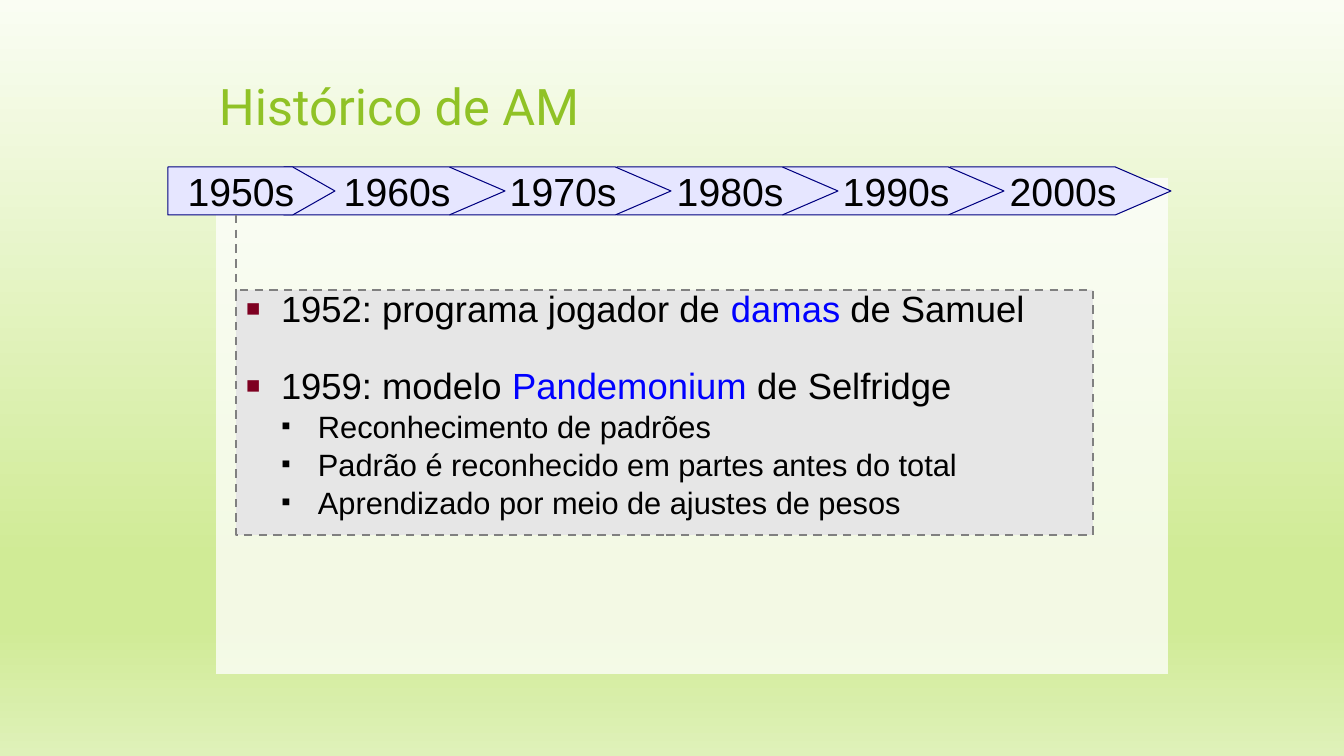
from lxml import etree
from pptx import Presentation
from pptx.dml.color import RGBColor
from pptx.enum.dml import MSO_LINE
from pptx.enum.shapes import MSO_CONNECTOR, MSO_SHAPE
from pptx.enum.text import MSO_ANCHOR, PP_ALIGN
from pptx.oxml import parse_xml
from pptx.oxml.ns import nsdecls, qn
from pptx.util import Emu, Pt

DASH = MSO_LINE.DASH
STRAIGHT = MSO_CONNECTOR.STRAIGHT
RECTANGLE, ARROW = MSO_SHAPE.RECTANGLE, MSO_SHAPE.PENTAGON
TOP, MIDDLE = MSO_ANCHOR.TOP, MSO_ANCHOR.MIDDLE
LEFT, CENTER = PP_ALIGN.LEFT, PP_ALIGN.CENTER

PX_PER_INCH = 100.8
COLORS = {
    "title": "90C226", "panel": "FFFFFF", "decade": "E6E6FF", "decade_edge": "000080",
    "box": "E6E6E6", "dash": "808080", "text": "000000", "highlight": "0000FF",
    "bullet": "7E0021",
}
BACKGROUND_STOPS = [(0, "FAFDF3"), (74, "D0EB96"), (83, "D0EB96"), (100, "DFF1B9")]
DECADES = ["1950s", "1960s", "1970s", "1980s", "1990s", "2000s"]
EVENTS = [
    (0, 0, [("1952: programa jogador de ", "text"), ("damas", "highlight"), (" de Samuel", "text")]),
    (0, 30, [("1959: modelo ", "text"), ("Pandemonium", "highlight"), (" de Selfridge", "text")]),
    (1, 6, [("Reconhecimento de padrões", "text")]),
    (1, 6, [("Padrão é reconhecido em partes antes do total", "text")]),
    (1, 6, [("Aprendizado por meio de ajustes de pesos", "text")]),
]
LEVELS = [
    {"size": 26, "margin": 35, "hang": 35, "bullet": "bullet", "percent": 65},
    {"size": 22, "margin": 72, "hang": 36, "bullet": "text", "percent": 45},
]


def px(length):
    return Emu(round(length * 914400 / PX_PER_INCH))


def rgb(name):
    return RGBColor.from_string(COLORS[name])


def set_background(slide):
    stops = "".join(
        f'<a:gs pos="{position * 1000}"><a:srgbClr val="{color}"/></a:gs>'
        for position, color in BACKGROUND_STOPS
    )
    background = parse_xml(
        f'<p:bg {nsdecls("p", "a")}><p:bgPr><a:gradFill rotWithShape="1"><a:gsLst>{stops}</a:gsLst>'
        '<a:lin ang="5400000" scaled="0"/></a:gradFill><a:effectLst/></p:bgPr></p:bg>'
    )
    slide.element.cSld.insert(0, background)


def add_run(paragraph, text, size, color, font="Arial"):
    run = paragraph.add_run()
    run.text = text
    run.font.size = Pt(size)
    run.font.name = font
    run.font.color.rgb = rgb(color)


def add_block(slide, preset, bounds, fill, edge=None, width=0.75):
    block = slide.shapes.add_shape(preset, *map(px, bounds))
    block.shadow.inherit = False
    block.fill.solid()
    block.fill.fore_color.rgb = rgb(fill)
    if edge:
        block.line.color.rgb = rgb(edge)
        block.line.width = Pt(width)
    else:
        block.line.fill.background()
    return block


def set_frame(frame, anchor, left=10, right=10, top=5, bottom=5):
    frame.word_wrap = True
    frame.vertical_anchor = anchor
    frame.margin_left, frame.margin_right = px(left), px(right)
    frame.margin_top, frame.margin_bottom = px(top), px(bottom)


def add_title(slide, text):
    title = slide.shapes.title
    title.left, title.top, title.width, title.height = map(px, (219, 35, 906, 141))
    set_frame(title.text_frame, MIDDLE, 0, 0, 0, 0)
    paragraph = title.text_frame.paragraphs[0]
    paragraph.alignment = LEFT
    add_run(paragraph, text, 36, "title", "Roboto")


def add_panel(slide):
    panel = add_block(slide, RECTANGLE, (216, 178, 952, 496), "panel")
    color = panel.fill._xPr.find(qn("a:solidFill"))[0]
    etree.SubElement(color, qn("a:alpha")).set("val", "75000")


def add_decade(slide, label, left, width, tip, inset):
    decade = add_block(slide, ARROW, (left, 167, width, 48), "decade", "decade_edge")
    decade.adjustments[0] = tip
    set_frame(decade.text_frame, MIDDLE, left=inset)
    paragraph = decade.text_frame.paragraphs[0]
    paragraph.alignment = CENTER
    add_run(paragraph, label, 28, "text")


def add_timeline(slide):
    first, *later = DECADES
    for index, label in reversed(list(enumerate(later))):
        add_decade(slide, label, 284 + 333 * index // 2, 221, 1.16, 43)
    add_decade(slide, first, 168, 167, 0.88, 10)


def set_bullet(paragraph, style):
    properties = paragraph._p.get_or_add_pPr()
    properties.set("marL", str(px(style["margin"])))
    properties.set("indent", str(-px(style["hang"])))
    color = etree.SubElement(properties, qn("a:buClr"))
    etree.SubElement(color, qn("a:srgbClr")).set("val", COLORS[style["bullet"]])
    etree.SubElement(properties, qn("a:buSzPct")).set("val", str(style["percent"] * 1000))
    etree.SubElement(properties, qn("a:buFont")).set("typeface", "Arial")
    etree.SubElement(properties, qn("a:buChar")).set("char", "■")


def add_events(slide):
    box = add_block(slide, RECTANGLE, (236, 290, 857, 245), "box", "dash", 1.5)
    box.line.dash_style = DASH
    frame = box.text_frame
    set_frame(frame, TOP)
    for index, (level, space, pieces) in enumerate(EVENTS):
        paragraph = frame.add_paragraph() if index else frame.paragraphs[0]
        style = LEVELS[level]
        set_bullet(paragraph, style)
        paragraph.level = level
        paragraph.alignment = LEFT
        paragraph.line_spacing = 0.8
        paragraph.space_before = Pt(space)
        for text, color in pieces:
            add_run(paragraph, text, style["size"], color)


def add_dashed_link(slide, start, end):
    link = slide.shapes.add_connector(STRAIGHT, *map(px, start + end))
    link.line.color.rgb = rgb("dash")
    link.line.width = Pt(1.5)
    link.line.dash_style = DASH
    etree.SubElement(link._element.spPr, qn("a:effectLst"))


def main():
    """Build the machine learning history slide."""
    deck = Presentation()
    deck.slide_width, deck.slide_height = px(1344), px(756)
    slide = deck.slides.add_slide(deck.slide_layouts[5])
    set_background(slide)
    add_panel(slide)
    add_title(slide, "Histórico de AM")
    add_timeline(slide)
    add_events(slide)
    add_dashed_link(slide, (236, 215), (236, 294))
    deck.save("out.pptx")


if __name__ == "__main__":
    main()
